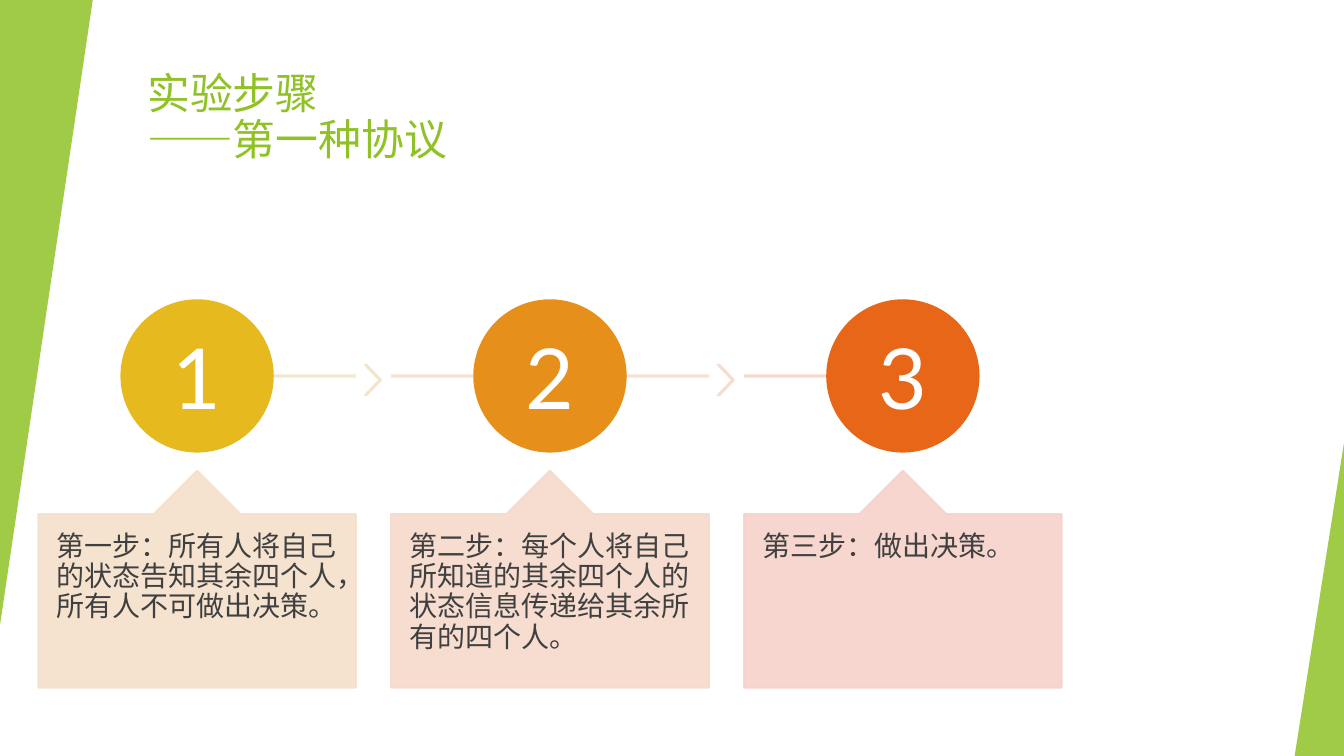
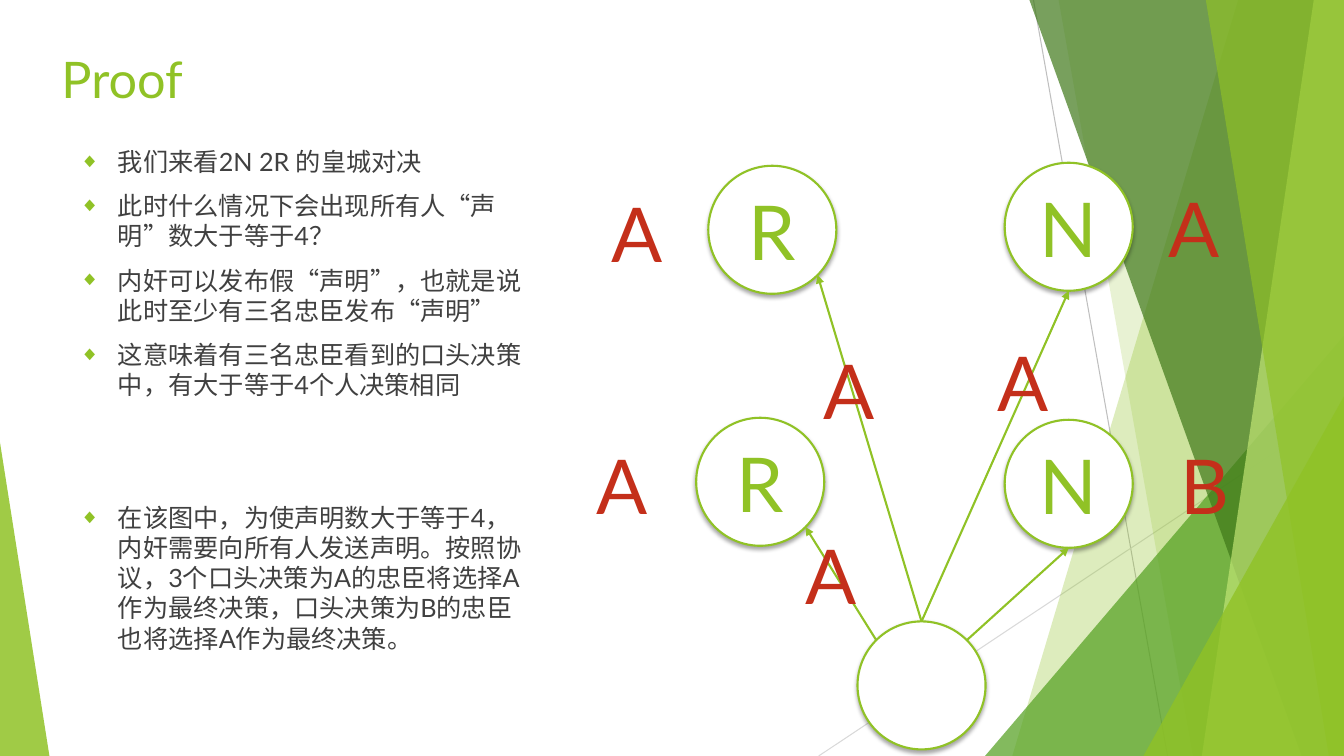
from math import cos, radians, sin

from lxml import etree
from pptx import Presentation
from pptx.dml.color import RGBColor
from pptx.enum.shapes import MSO_CONNECTOR, MSO_SHAPE
from pptx.enum.text import MSO_ANCHOR, MSO_AUTO_SIZE, PP_ALIGN
from pptx.oxml.ns import qn
from pptx.util import Inches, Pt

STRAIGHT = MSO_CONNECTOR.STRAIGHT
RECTANGLE, ELLIPSE, CHEVRON = MSO_SHAPE.RECTANGLE, MSO_SHAPE.OVAL, MSO_SHAPE.CHEVRON
LEFT, CENTER = PP_ALIGN.LEFT, PP_ALIGN.CENTER
TOP, MIDDLE = MSO_ANCHOR.TOP, MSO_ANCHOR.MIDDLE
NO_FIT = MSO_AUTO_SIZE.NONE

WIDTH, HEIGHT = 13.33, 7.5
LATIN, CJK = "Lato", "Arial"
COLORS = {
    "white": "FFFFFF", "text": "404040", "green": "90C226", "red": "C42F1A",
    "mid green": "54A021", "dark green": "3F7819", "pale green": "C0E474",
    "gray": "BFBFBF", "light gray": "D9D9D9",
    "circle 1": "E6B91E", "circle 2": "E6901B", "circle 3": "E76618",
    "bar 1": "F5E6CB", "bar 2": "F6DFCB", "bar 3": "F6D7CB",
    "chevron 1": "F5E4CB", "chevron 2": "F6DCCB",
    "card 1": "F5E1CB", "card 2": "F6DACB", "card 3": "F6D2CA",
}

# Decorative facets: colour, opacity, corner points
FACETS = [
    ("green", 30, [(12.28, 0), (WIDTH, 0), (WIDTH, HEIGHT), (10.04, HEIGHT)]),
    ("green", 20, [(10.5, 0), (WIDTH, 0), (WIDTH, HEIGHT), (11.83, HEIGHT)]),
    ("mid green", 72, [(9.77, HEIGHT), (WIDTH, 3.33), (WIDTH, HEIGHT)]),
    ("dark green", 70, [(10.21, 0), (WIDTH, 0), (WIDTH, HEIGHT), (12.91, HEIGHT)]),
    ("pale green", 70, [(13.03, 0), (WIDTH, 0), (WIDTH, HEIGHT), (11.92, HEIGHT)]),
    ("green", 65, [(11.96, 0), (WIDTH, 0), (WIDTH, HEIGHT), (13.18, HEIGHT)]),
    ("green", 80, [(11.34, HEIGHT), (WIDTH, 3.93), (WIDTH, HEIGHT)]),
    ("green", 85, [(0, HEIGHT), (0, 4.39), (0.49, HEIGHT)]),
]

STEPS = [
    "第一步：所有人将自己的状态告知其余四个人，所有人不可做出决策。",
    "第二步：每个人将自己所知道的其余四个人的状态信息传递给其余所有的四个人。",
    "第三步：做出决策。",
]
STEP_PITCH, CARD_LEFT, CARD_WIDTH = 3.5, 0.38, 3.15
STEP_CIRCLE = 1.5
BAR_SPANS = [(2.13, 3.53), (3.88, 7.03), (7.38, 8.96)]

# Text and space before it
PROOF_POINTS = [
    ("我们来看2N 2R 的皇城对决", 0),
    ("此时什么情况下会出现所有人“声明”数大于等于4？", 10),
    ("内奸可以发布假“声明”，也就是说此时至少有三名忠臣发布“声明”", 10),
    ("这意味着有三名忠臣看到的口头决策中，有大于等于4个人决策相同", 10),
    ("在该图中，为使声明数大于等于4，内奸需要向所有人发送声明。按照协议，"
     "3个口头决策为A的忠臣将选择A作为最终决策，口头决策为B的忠臣也将选择A作为最终决策。", 73),
]
PLAYER_SIZE = 1.27
SENDER = (9.14, 6.8)
# Role, centre, angle where the arrow leaves the sender, angle where it arrives
PLAYERS = [
    ("R", (7.66, 2.28), 270, 45),
    ("R", (7.54, 4.78), 225, 45),
    ("N", (10.6, 2.25), 270, 90),
    ("N", (10.6, 4.8), 315, 90),
]
DECISIONS = [
    ("A", 6.32, 2.3), ("A", 6.17, 4.8), ("A", 11.84, 2.25), ("B", 11.95, 4.8),
    ("A", 8.24, 5.7), ("A", 10.15, 3.78), ("A", 8.42, 3.86),
]


def rgb(color):
    return RGBColor.from_string(COLORS[color])


def add_xml(parent, tag, **attributes):
    return etree.SubElement(parent, qn(tag), attributes)


def paint(shape, fill, line=None, opacity=100):
    shape.shadow.inherit = False
    shape.fill.solid()
    shape.fill.fore_color.rgb = rgb(fill)
    if line:
        shape.line.color.rgb = rgb(line)
        shape.line.width = Pt(1.5)
    else:
        shape.line.fill.background()
    set_opacity(shape, opacity)
    return shape


def set_opacity(shape, percent):
    if percent < 100:
        for color in shape.element.spPr.iter(qn("a:srgbClr")):
            add_xml(color, "a:alpha", val=str(percent * 1000))


def add_preset(shapes, kind, x, y, w, h, fill, line=None, opacity=100):
    shape = shapes.add_shape(kind, Inches(x), Inches(y), Inches(w), Inches(h))
    return paint(shape, fill, line, opacity)


def add_circle(shapes, center, size, fill, line):
    x, y = center
    return add_preset(shapes, ELLIPSE, x - size / 2, y - size / 2, size, size, fill, line)


def add_polygon(shapes, points, fill, line=None, opacity=100):
    start, *rest = [(Inches(x), Inches(y)) for x, y in points]
    builder = shapes.build_freeform(*start)
    builder.add_line_segments(rest, close=True)
    return paint(builder.convert_to_shape(), fill, line, opacity)


def add_line(shapes, start, end, color, width):
    ends = [Inches(value) for value in (*start, *end)]
    line = shapes.add_connector(STRAIGHT, *ends)
    line.line.color.rgb = rgb(color)
    line.line.width = Pt(width)
    add_xml(line.element.spPr, "a:effectLst")
    return line


def format_frame(frame, anchor=TOP, inset=0.05, wrap=True):
    frame.auto_size = NO_FIT
    frame.word_wrap = wrap
    frame.vertical_anchor = anchor
    frame.margin_left = frame.margin_right = Inches(inset)
    frame.margin_top = frame.margin_bottom = Inches(inset)


def add_run(paragraph, text, size, color, font=LATIN):
    run = paragraph.add_run()
    run.text = text
    run.font.size = Pt(size)
    run.font.name = font
    run.font.color.rgb = rgb(color)


def write_centered(shape, text, size, color):
    format_frame(shape.text_frame, MIDDLE, 0, wrap=False)
    paragraph = shape.text_frame.paragraphs[0]
    paragraph.alignment = CENTER
    add_run(paragraph, text, size, color)


def place(shape, x, y, w, h):
    shape.left, shape.top = Inches(x), Inches(y)
    shape.width, shape.height = Inches(w), Inches(h)


def set_title(slide, box, size, lines):
    """Write the title; each line is a list of (text, font) runs."""
    title = slide.shapes.title
    place(title, *box)
    format_frame(title.text_frame)
    paragraph = title.text_frame.paragraphs[0]
    paragraph.alignment = LEFT
    for index, line in enumerate(lines):
        if index:
            paragraph.add_line_break()
        for text, font in line:
            add_run(paragraph, text, size, "green", font)
    return paragraph


def add_bullet(paragraph, text, space_before):
    properties = paragraph._p.get_or_add_pPr()
    properties.set("marL", str(Inches(0.38)))
    properties.set("indent", str(-Inches(0.38)))
    color = add_xml(properties, "a:buClr")
    add_xml(color, "a:srgbClr", val=COLORS["green"])
    add_xml(properties, "a:buSzPct", val="80000")
    add_xml(properties, "a:buChar", char="◆")
    paragraph.space_before = Pt(space_before)
    add_run(paragraph, text, 18, "text")


def decorate_master(master, slide):
    """Draw the facets in a group on the slide, then move it to the master."""
    group = slide.shapes.add_group_shape()
    add_line(group.shapes, (10.25, 0), (11.58, HEIGHT), "gray", 0.75)
    add_line(group.shapes, (WIDTH, 4.03), (8.12, HEIGHT), "light gray", 0.75)
    for color, opacity, points in FACETS:
        add_polygon(group.shapes, points, color, opacity=opacity)
    for number, properties in enumerate(group.element.iter(qn("p:cNvPr")), 100):
        properties.set("id", str(number))
    master.shapes.element.insert(2, group.element)


def add_step(shapes, index, text):
    number = index + 1
    left = CARD_LEFT + index * STEP_PITCH
    right = left + CARD_WIDTH
    middle = left + CARD_WIDTH / 2

    start, end = BAR_SPANS[index]
    bar = add_line(shapes, (start, 3.73), (end, 3.73), f"bar {number}", 2.25)
    set_opacity(bar, 90)
    if number < len(STEPS):
        color = f"chevron {number}"
        chevron = add_preset(shapes, CHEVRON, right + 0.09, 3.62, 0.16, 0.3, color, color, 90)
        chevron.adjustments[0] = 0.9

    color = f"circle {number}"
    circle = add_circle(shapes, (middle, 3.73), STEP_CIRCLE, color, color)
    write_centered(circle, str(number), 60, "white")

    color = f"card {number}"
    outline = [(left, 5.1), (middle - 0.43, 5.1), (middle, 4.67), (middle + 0.43, 5.1),
               (right, 5.1), (right, 6.82), (left, 6.82)]
    card = add_polygon(shapes, outline, color, color, 90)
    format_frame(card.text_frame, inset=0.18)
    card.text_frame.margin_top = Inches(0.61)
    paragraph = card.text_frame.paragraphs[0]
    paragraph.alignment = LEFT
    paragraph.line_spacing = 0.9
    add_run(paragraph, text, 20, "text", CJK)


def build_steps(slide):
    shapes = slide.shapes
    cover = add_preset(shapes, RECTANGLE, 0, 0, WIDTH, HEIGHT, "white")
    shapes.element.insert(2, cover.element)
    add_polygon(shapes, [(0.92, 0), (0, 6.2), (0, 0)], "green", opacity=85)
    add_polygon(shapes, [(WIDTH, HEIGHT), (WIDTH, 4.39), (12.84, HEIGHT)], "green", opacity=85)
    title = set_title(slide, (1.41, 0.67, 11.15, 1.2), 30.6,
                      [[("实验步骤", CJK)], [("——", LATIN), ("第一种协议", CJK)]])
    title.line_spacing = 0.9
    for index, text in enumerate(STEPS):
        add_step(shapes, index, text)


def rim_point(center, degrees):
    """Point on a player's circle, clockwise from the right."""
    angle, radius = radians(degrees), PLAYER_SIZE / 2
    return center[0] + radius * cos(angle), center[1] + radius * sin(angle)


def add_player(shapes, center, role=""):
    circle = add_circle(shapes, center, PLAYER_SIZE, "white", "green")
    effects = circle.element.spPr.find(qn("a:effectLst"))
    shadow = add_xml(effects, "a:outerShdw", blurRad=str(Pt(3)), dist=str(Pt(2)),
                     dir="5400000", rotWithShape="0")
    color = add_xml(shadow, "a:srgbClr", val="000000")
    add_xml(color, "a:alpha", val="35000")
    if role:
        write_centered(circle, role, 54, "green")


def add_arrow(shapes, start, end):
    arrow = add_line(shapes, start, end, "green", 1.5)
    add_xml(arrow.line._get_or_add_ln(), "a:tailEnd", type="triangle")


def build_proof(slide):
    shapes = slide.shapes
    set_title(slide, (0.56, 0.43, 9.4, 1.44), 36, [[("Proof", LATIN)]])
    points = slide.placeholders[1]
    place(points, 0.74, 1.4, 4.61, 5.21)
    frame = points.text_frame
    format_frame(frame)
    for index, (text, space_before) in enumerate(PROOF_POINTS):
        paragraph = frame.add_paragraph() if index else frame.paragraphs[0]
        add_bullet(paragraph, text, space_before)

    add_player(shapes, SENDER)
    for role, center, _, _ in PLAYERS:
        add_player(shapes, center, role)
    for _, center, leaving, arriving in PLAYERS:
        add_arrow(shapes, rim_point(SENDER, leaving), rim_point(center, arriving))
    for letter, x, y in DECISIONS:
        label = shapes.add_textbox(Inches(x - 0.32), Inches(y - 0.5), Inches(0.64), Inches(1))
        write_centered(label, letter, 54, "red")


def main():
    prs = Presentation()
    prs.slide_width, prs.slide_height = Inches(WIDTH), Inches(HEIGHT)
    steps = prs.slides.add_slide(prs.slide_layouts[5])
    proof = prs.slides.add_slide(prs.slide_layouts[1])
    decorate_master(prs.slide_master, steps)
    build_steps(steps)
    build_proof(proof)
    prs.save("out.pptx")


if __name__ == "__main__":
    main()
